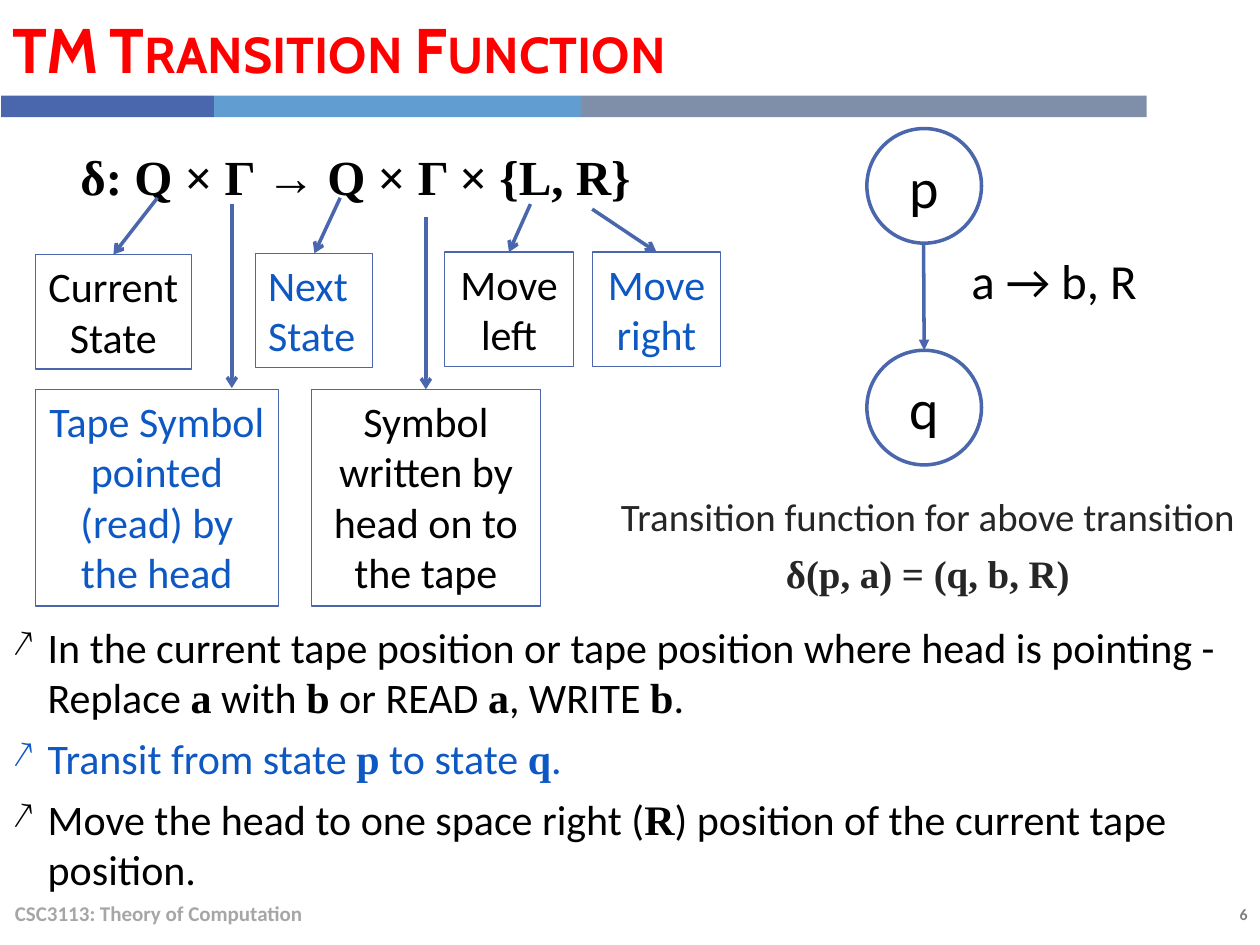
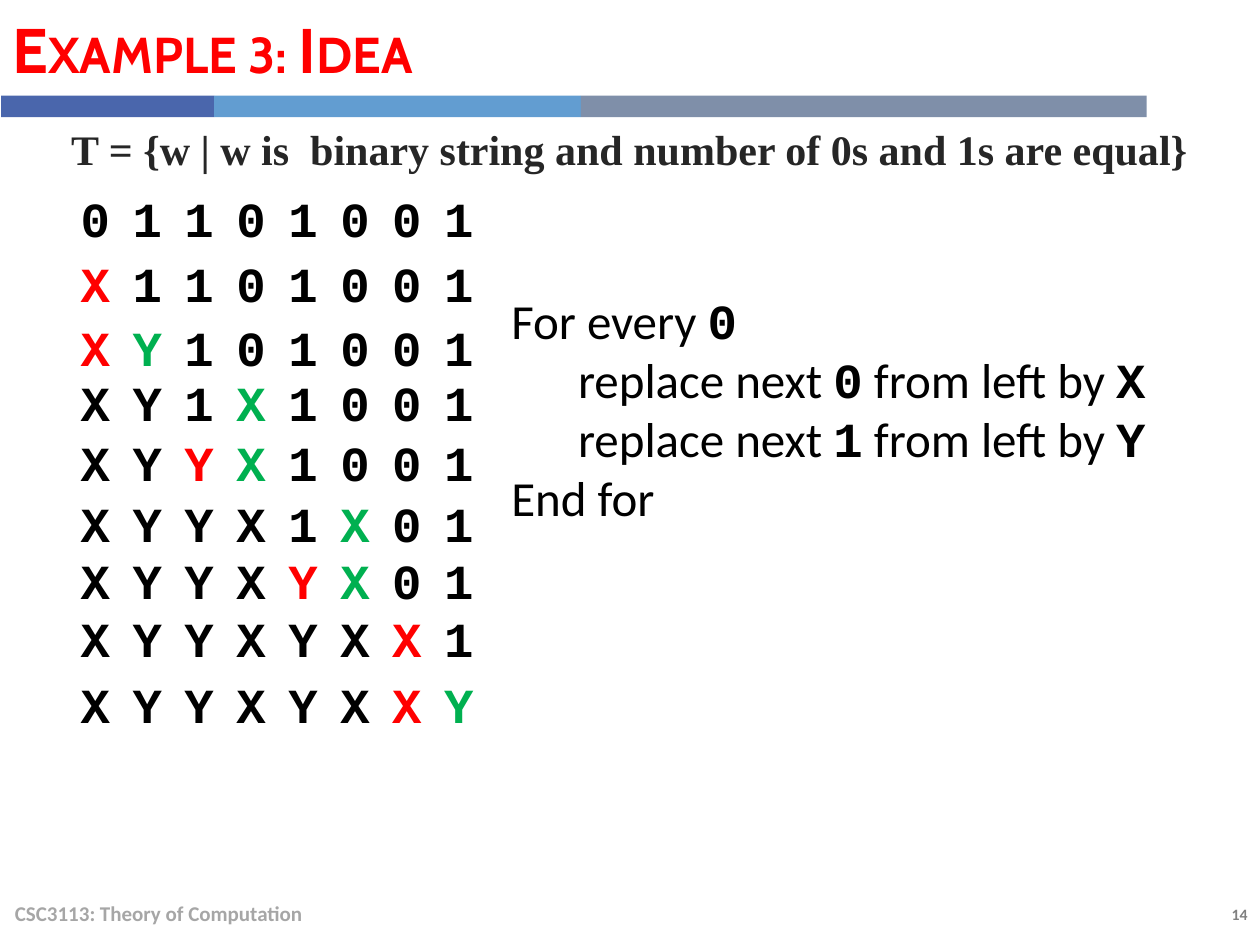
from dataclasses import dataclass

from pptx import Presentation
from pptx.dml.color import RGBColor
from pptx.enum.shapes import MSO_CONNECTOR, MSO_SHAPE
from pptx.enum.text import MSO_ANCHOR as Anchor, MSO_AUTO_SIZE as AutoSize, PP_ALIGN as Align
from pptx.oxml.ns import qn
from pptx.oxml.xmlchemy import OxmlElement
from pptx.util import Inches, Pt


@dataclass(frozen=True)
class Theme:
    title_font: str = "Cabin"
    body_font: str = "Calibri"
    math_font: str = "Times New Roman"
    code_font: str = "Courier New"
    red: str = "FF0000"
    green: str = "00B050"
    blue: str = "0E58C4"
    black: str = "000000"
    dark: str = "262626"
    gray: str = "808080"
    pale: str = "A6A6A6"
    line: str = "4A66AC"
    bands: tuple = ("4A66AC", "629DD1", "7F8FA9")
    title: float = 36
    state: float = 32
    large: float = 28
    body: float = 24
    caption: float = 22.2
    footer: float = 12
    number: float = 9


T = Theme()
NO_TABLE_STYLE = "{2D5ABB26-0587-4C30-8999-92F81FD0307C}"


def write(sp, text, size, color=T.black, font=T.body_font, accent=T.math_font,
          bold=False, align=Align.LEFT, anchor=Anchor.TOP, before=0, wrap=True):
    """Fill a shape, one paragraph a line; *starred* parts are bold in the accent font."""
    tf = sp.text_frame
    tf.word_wrap, tf.vertical_anchor, tf.auto_size = wrap, anchor, AutoSize.NONE
    for i, line in enumerate(text.split("\n")):
        p = tf.paragraphs[0] if i == 0 else tf.add_paragraph()
        p.alignment, p.space_before = align, Pt(before)
        for j, part in enumerate(line.split("*")):
            if part:
                r = p.add_run()
                r.text = part
                starred = j % 2 == 1
                r.font.name = accent if starred else font
                r.font.size, r.font.bold = Pt(size), bold or starred
                r.font.color.rgb = RGBColor.from_string(color)
    return tf


def arrow(s, start, end, head="arrow", target=None):
    """Draw an arrow, joined to the top of the target if there is one."""
    c = s.shapes.add_connector(MSO_CONNECTOR.STRAIGHT, *map(Inches, start + end))
    if target is not None:
        c.end_connect(target, 0)
    c.line.color.rgb = RGBColor.from_string(T.line)
    c.line.width = Pt(2)
    tail = OxmlElement("a:tailEnd")
    tail.set("type", head)
    c.line._get_or_add_ln().append(tail)
    c._element.spPr.append(OxmlElement("a:effectLst"))


prs = Presentation()
prs.slide_width, prs.slide_height = Inches(10), Inches(7.5)

# Title, bands, footer and number of every slide
slides = []
for title, number in (("TM Transition Function", "6"), ("Example 3: Idea", "14")):
    s = prs.slides.add_slide(prs.slide_layouts[5])
    slides.append(s)
    sp = s.shapes.title
    sp.left, sp.top, sp.width, sp.height = map(Inches, (0, 0, 9.1, 0.76))
    tf = write(sp, title, T.title, T.red, T.title_font, bold=True,
               anchor=Anchor.MIDDLE, before=6)
    tf.paragraphs[0].runs[0].font._element.set("cap", "small")

    left = 0.01
    for width, color in zip((1.69, 2.91, 4.49), T.bands):
        sp = s.shapes.add_shape(MSO_SHAPE.RECTANGLE, *map(Inches, (left, 0.76, width, 0.17)))
        sp.shadow.inherit = False
        sp.fill.solid()
        sp.fill.fore_color.rgb = RGBColor.from_string(color)
        sp.line.fill.background()
        left += width

    sp = s.shapes.add_textbox(*map(Inches, (0.02, 7.05, 6.7, 0.4)))
    write(sp, "CSC3113: Theory of Computation", T.footer, T.pale, bold=True, anchor=Anchor.MIDDLE)
    sp = s.shapes.add_textbox(*map(Inches, (8.73, 7.13, 1.27, 0.25)))
    write(sp, number, T.number, T.gray, bold=True, align=Align.RIGHT)

function_slide, idea_slide = slides

# Formula of the transition function
s = function_slide
sp = s.shapes.add_textbox(*map(Inches, (0.54, 1.11, 4.76, 0.57)))
write(sp, "*δ: Q × Γ → Q × Γ × {L, R}*", T.large, wrap=False)

# Boxes that explain its parts, each with the start of its arrow
parts = (
    ("Current State", (0.28, 2.02, 1.24, 0.91), T.black, Align.CENTER, (1.25, 1.57)),
    ("Tape Symbol pointed (read) by the head", (0.28, 3.09, 1.93, 1.72), T.blue, Align.CENTER, None),
    ("Next State", (2.03, 2.01, 0.93, 0.91), T.blue, Align.LEFT, (2.7, 1.57)),
    ("Symbol written by head on to the tape", (2.47, 3.09, 1.82, 1.72), T.black, Align.CENTER, (3.38, 1.72)),
    ("Move left", (3.53, 2, 1.02, 0.91), T.black, Align.CENTER, (4.21, 1.62)),
    ("Move right", (4.7, 2, 1.02, 0.91), T.blue, Align.CENTER, (4.7, 1.66)),
)
for text, place, color, align, start in parts:
    sp = s.shapes.add_shape(MSO_SHAPE.RECTANGLE, *map(Inches, place))
    sp.shadow.inherit = False
    sp.fill.background()
    sp.line.color.rgb = RGBColor.from_string(T.line)
    sp.line.width = Pt(0.75)
    write(sp, text, T.body, color, align=align)
    if start:
        left, top, width, _ = place
        arrow(s, start, (left + width / 2, top), target=sp)
arrow(s, (1.84, 1.62), (1.84, 3.08))

# State diagram
for state, top in (("p", 1.02), ("q", 2.78)):
    sp = s.shapes.add_shape(MSO_SHAPE.OVAL, *map(Inches, (6.88, top, 0.91, 0.91)))
    sp.shadow.inherit = False
    sp.fill.background()
    sp.line.color.rgb = RGBColor.from_string(T.line)
    sp.line.width = Pt(2)
    write(sp, state, T.state, align=Align.CENTER, anchor=Anchor.MIDDLE)
arrow(s, (7.33, 1.93), (7.33, 2.78), "triangle", sp)
sp = s.shapes.add_textbox(*map(Inches, (7.51, 1.86, 1.71, 0.73)))
write(sp, "a → b, R", T.large, align=Align.CENTER, anchor=Anchor.MIDDLE)
sp = s.shapes.add_textbox(*map(Inches, (4.73, 3.86, 5.27, 0.95)))
write(sp, "Transition function for above transition\n*δ(p, a) = (q, b, R)*",
      T.caption, T.dark, align=Align.CENTER, before=6)

# Steps of the transition
sp = s.shapes.add_textbox(*map(Inches, (0, 4.88, 9.99, 2.16)))
tf = write(sp, "In the current tape position or tape position where head is pointing - "
               "Replace *a* with *b* or READ *a*, WRITE *b*.\n"
               "Transit from state *p* to state *q*.\n"
               "Move the head to one space right (*R*) position of the current tape position.",
           T.body, before=6)
for r in tf.paragraphs[1].runs:
    r.font.color.rgb = RGBColor.from_string(T.blue)
for p in tf.paragraphs:
    pPr = p._p.get_or_add_pPr()
    pPr.set("marL", str(Inches(0.28)))
    pPr.set("indent", str(-Inches(0.28)))
    for tag, key, value in (("a:buSzPct", "val", "90000"), ("a:buChar", "char", "↗")):
        el = OxmlElement(tag)
        el.set(key, value)
        pPr.append(el)

# Language of the example
s = idea_slide
sp = s.shapes.add_textbox(*map(Inches, (0, 0.93, 9.99, 0.55)))
write(sp, "T = {w | w is  binary string and number of 0s and 1s are equal}", T.body,
      T.dark, T.math_font, bold=True, align=Align.CENTER, before=6)

# Tape after each step: top, symbols, colour marks
mark_colors = {".": T.black, "r": T.red, "g": T.green}
tapes = (
    (1.55, "01101001", "........"),
    (2.06, "X1101001", "r......."),
    (2.57, "XY101001", "rg......"),
    (3.01, "XY1X1001", "...g...."),
    (3.48, "XYYX1001", "..rg...."),
    (3.97, "XYYX1X01", ".....g.."),
    (4.42, "XYYXYX01", "....rg.."),
    (4.88, "XYYXYXX1", "......r."),
    (5.40, "XYYXYXXY", "......rg"),
)
for top, symbols, marks in tapes:
    frame = s.shapes.add_table(1, len(symbols), *map(Inches, (0.55, top, 3.3, 0.47)))
    table = frame.table
    table.first_row = table.horz_banding = False
    table._tbl.tblPr.find(qn("a:tableStyleId")).text = NO_TABLE_STYLE
    for cell, symbol, mark in zip(table.iter_cells(), symbols, marks):
        cell.fill.background()
        cell.margin_left = cell.margin_right = cell.margin_top = cell.margin_bottom = 0
        cell.vertical_anchor = Anchor.MIDDLE
        cell.text_frame.text = symbol
        p = cell.text_frame.paragraphs[0]
        p.alignment = Align.CENTER
        font = p.runs[0].font
        font.name, font.size, font.bold = T.code_font, Pt(T.large), True
        font.color.rgb = RGBColor.from_string(mark_colors[mark])

# Replacement loop
sp = s.shapes.add_textbox(*map(Inches, (3.96, 2.26, 5.65, 1.99)))
tf = write(sp, "For every *0*\nreplace next *0* from left by *X*\n"
               "replace next *1* from left by *Y*\nEnd for", T.large, accent=T.code_font)
for p in tf.paragraphs[1:3]:
    p._p.get_or_add_pPr().set("marL", str(Inches(0.53)))

prs.save("out.pptx")
